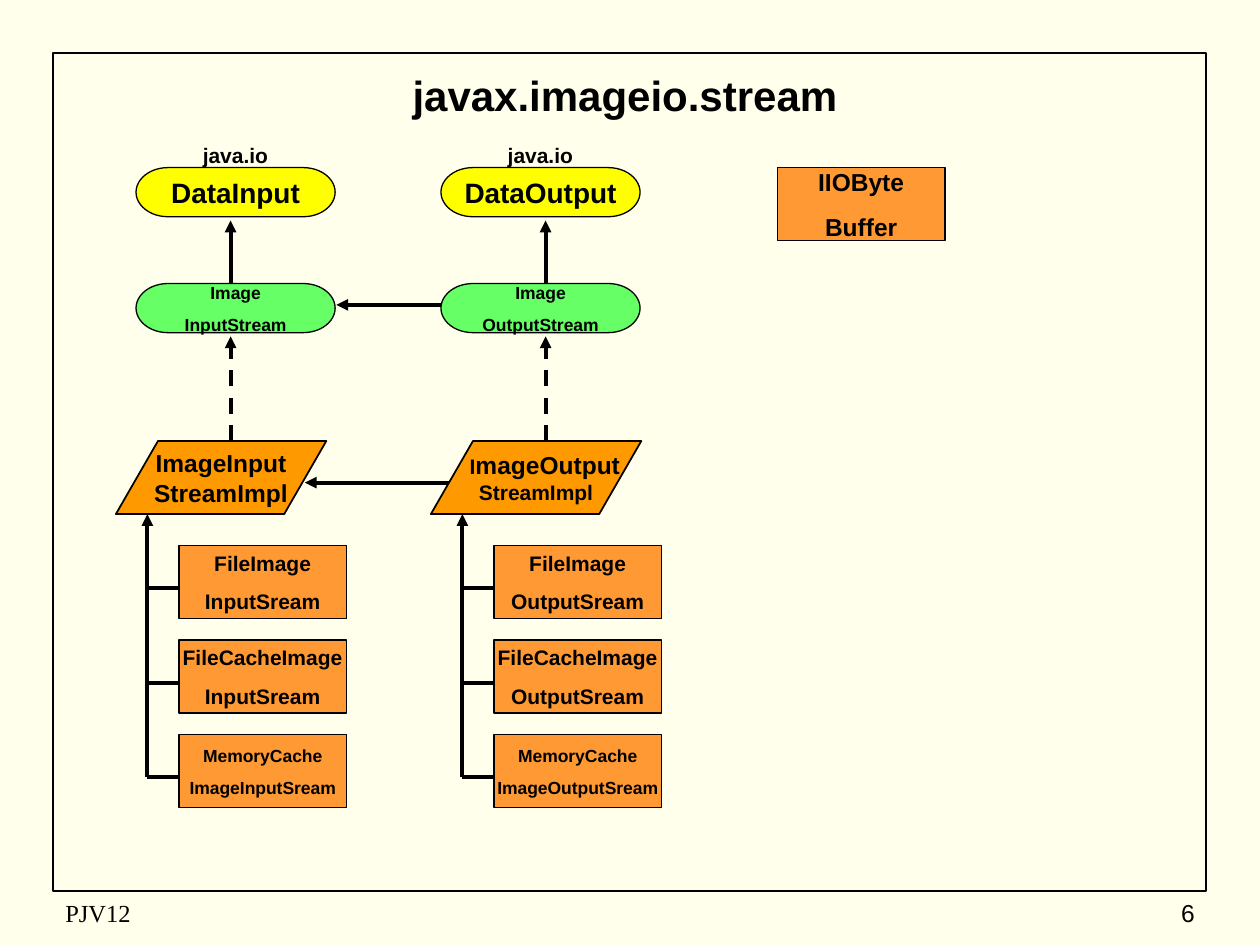
"""Build the javax.imageio.stream class diagram slide."""
import dataclasses
import pptx
import pptx.dml.color
import pptx.enum.dml
import pptx.enum.shapes
import pptx.enum.text
import pptx.oxml.ns
import pptx.util
from lxml import etree

Inches, Pt = pptx.util.Inches, pptx.util.Pt
Rgb = pptx.dml.color.RGBColor.from_string
Kind = pptx.enum.shapes.MSO_SHAPE
Align = pptx.enum.text.PP_ALIGN
Anchor = pptx.enum.text.MSO_ANCHOR
qn = pptx.oxml.ns.qn


@dataclasses.dataclass
class Theme:
    ink: str = "000000"
    paper: str = "FFFFEB"
    yellow: str = "FFFF00"
    green: str = "66FF66"
    amber: str = "FF9900"
    orange: str = "FF9933"
    sans: str = "Arial"
    serif: str = "Times New Roman"
    title: int = 24
    head: int = 16
    large: int = 14
    body: int = 12
    small: int = 10


theme = Theme()


def write(shape, rows, gap=0, align=Align.CENTER, face=theme.sans, bold=True, **extra):
    frame = shape.text_frame
    look = {"word_wrap": False, "vertical_anchor": Anchor.MIDDLE, "margin_left": Inches(0.1),
            "margin_right": Inches(0.1), "margin_top": Inches(0.05),
            "margin_bottom": Inches(0.05)} | extra
    for key, value in look.items():
        setattr(frame, key, value)
    for i, row in enumerate(rows):
        para = frame.add_paragraph() if i else frame.paragraphs[0]
        para.alignment = align
        para.space_before = Pt(gap if i else 0)
        for text, size in row:
            run = para.add_run()
            run.text = text
            for key, value in {"size": Pt(size), "name": face, "bold": bold}.items():
                setattr(run.font, key, value)
            run.font.color.rgb = Rgb(theme.ink)


def node(kind, box, fill, width, rows, gap=0):
    shape = slide.shapes.add_shape(kind, *map(Inches, box))
    shape.shadow.inherit = False
    if fill:
        shape.fill.solid()
        shape.fill.fore_color.rgb = Rgb(fill)
    else:
        shape.fill.background()
    shape.line.color.rgb = Rgb(theme.ink)
    shape.line.width = Pt(width)
    write(shape, rows, gap)
    return shape


deck = pptx.Presentation()
deck.slide_width, deck.slide_height = Inches(10), Inches(7.5)
slide = deck.slides.add_slide(deck.slide_layouts[5])
slide.background.fill.solid()
slide.background.fill.fore_color.rgb = Rgb(theme.paper)

node(Kind.RECTANGLE, (0.42, 0.42, 9.15, 6.65), None, 1, [])

title = slide.shapes.title
place = {"left": 0.5, "top": 0.5, "width": 8.92, "height": 0.5}
for key, value in place.items():
    setattr(title, key, Inches(value))
write(title, [[("javax.imageio.stream", theme.title)]], word_wrap=True)

feet = [("PJV12", 0.42, 3.17, Align.LEFT, theme.serif),
        ("6", 7.5, 2.08, Align.RIGHT, theme.sans)]
for text, left, width, align, face in feet:
    foot = slide.shapes.add_textbox(Inches(left), Inches(7.08), Inches(width), Inches(0.33))
    write(foot, [[(text, theme.large)]], align=align, face=face, bold=False, word_wrap=True)

links = [(3.58, 3.83, 2.42, 3.83, True, False), (3.5, 2.42, 2.67, 2.42, True, False)]
for shift in (0, 2.5):
    mid, trunk = 1.83 + shift, 1.17 + shift
    links += [(mid, 2.25, mid, 1.75, True, False), (mid, 3.5, mid, 2.67, True, True),
              (trunk, 6.17, trunk, 4.08, True, False)]
    links += [(trunk, 4.67 + 0.75 * i, trunk + 0.25, 4.67 + 0.75 * i, False, False)
              for i in range(3)]
for x1, y1, x2, y2, arrow, dash in links:
    link = slide.shapes.add_connector(pptx.enum.shapes.MSO_CONNECTOR.STRAIGHT,
                                      *map(Inches, (x1, y1, x2, y2)))
    link.line.color.rgb = Rgb(theme.ink)
    link.line.width = Pt(2.25)
    if dash:
        link.line.dash_style = pptx.enum.dml.MSO_LINE.DASH
    if arrow:
        etree.SubElement(link.line._get_or_add_ln(), qn("a:tailEnd"), type="triangle")
    etree.SubElement(link._element.spPr, qn("a:effectLst"))

node(Kind.RECTANGLE, (6.17, 1.33, 1.33, 0.58), theme.orange, 1,
     [[("IIOByte", theme.large)], [("Buffer", theme.large)]], 8.8)

sides = [("Input", 1.08, 0, 1.33), ("Output", 3.5, 2.5, 3.75)]
for side, left, shift, tag in sides:
    note = slide.shapes.add_textbox(Inches(tag), Inches(1.08), Inches(1.17), Inches(0.3))
    write(note, [[("java.io", theme.body)]], align=Align.LEFT, word_wrap=True,
          vertical_anchor=Anchor.TOP, margin_left=Inches(0.28))
    node(Kind.FLOWCHART_TERMINATOR, (left, 1.33, 1.58, 0.39), theme.yellow, 0.75,
         [[("Data" + side, theme.head)]])
    node(Kind.FLOWCHART_TERMINATOR, (left, 2.25, 1.58, 0.39), theme.green, 0.75,
         [[("Image", theme.small)], [(side + "Stream", theme.small)]], 6.2)
    if side == "Input":
        rows = [[("ImageInput", theme.large)], [("StreamImpl", theme.large)]]
    else:
        rows = [[("I", theme.body), ("mageOutput", theme.large)], [("StreamImpl", theme.body)]]
    base = node(Kind.FLOWCHART_DATA, (0.92 + shift, 3.5, 1.67, 0.58), theme.amber, 1, rows)
    if side == "Output":
        base.text_frame.paragraphs[0]._p.get_or_add_pPr().set("marL", str(Inches(0.14)))
    leaves = [("FileImage", side + "Sream", theme.body, 7.5),
              ("FileCacheImage", side + "Sream", theme.body, 7.5),
              ("MemoryCache", "Image" + side + "Sream", theme.small, 6.2)]
    for i, (first, last, size, gap) in enumerate(leaves):
        node(Kind.RECTANGLE, (1.42 + shift, 4.33 + 0.75 * i, 1.33, 0.58), theme.orange, 1,
             [[(first, size)], [(last, size)]], gap)

deck.save("out.pptx")
